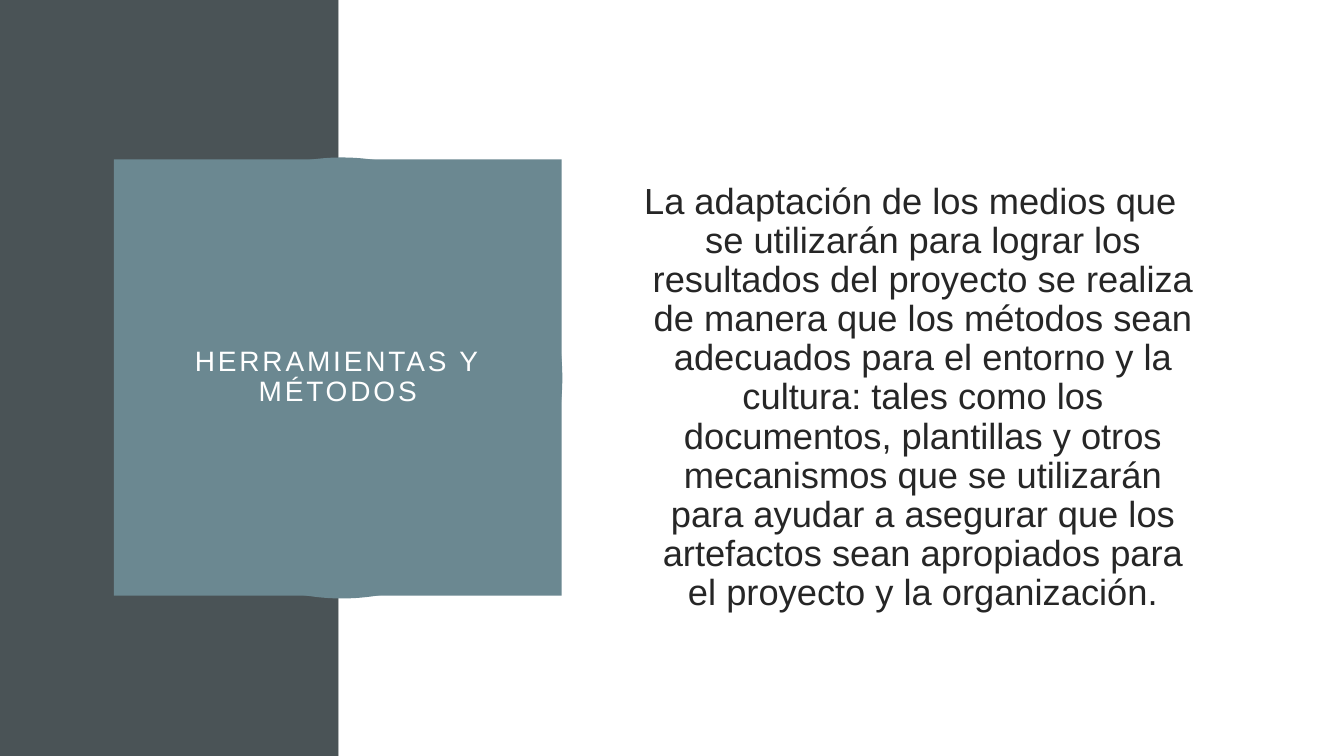
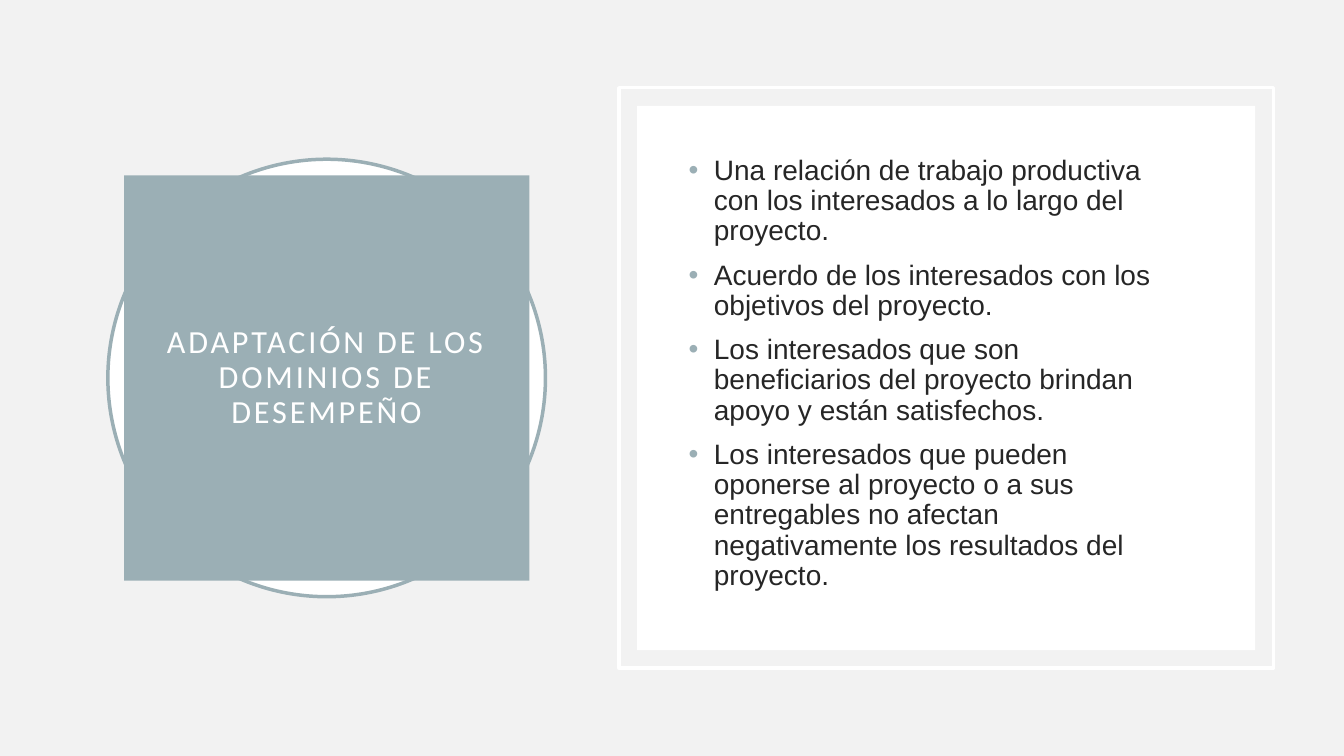
import dataclasses

import pptx
import pptx.dml.color
import pptx.enum.shapes
import pptx.enum.text
import pptx.oxml
import pptx.oxml.ns
import pptx.util

Inches = pptx.util.Inches
SHAPES = pptx.enum.shapes.MSO_SHAPE
ALIGN = pptx.enum.text.PP_ALIGN
ANCHOR = pptx.enum.text.MSO_ANCHOR


@dataclasses.dataclass(frozen=True)
class Theme:
    white: str = "FFFFFF"
    gray: str = "F2F2F2"
    slate: str = "4A5356"
    teal: str = "6B8891"
    mist: str = "9BAFB5"
    ink: str = "262626"
    sans: str = "Arial"
    heading: str = "Calibri"
    small_title: float = 20
    large_title: float = 23
    list_size: float = 20
    statement_size: float = 25.9
    outline: float = 2.5
    line_spacing: float = 0.9
    space_before: float = 10
    hanging: float = 0.25


THEME = Theme()
PAGE_WIDTH, PAGE_HEIGHT = 13.33, 7.5
CIRCLE = 4.34
CIRCLE_TOP = 1.58


def color(value):
    return pptx.dml.color.RGBColor.from_string(value)


def add_figure(page, kind, box, fill=None, line=None):
    """Draw one plain shape in box (left, top, width, height)."""
    figure = page.shapes.add_shape(kind, *map(Inches, box))
    figure.shadow.inherit = False
    if fill:
        figure.fill.solid()
        figure.fill.fore_color.rgb = color(fill)
    else:
        figure.fill.background()
    if line:
        figure.line.color.rgb = color(line)
        figure.line.width = pptx.util.Pt(THEME.outline)
    else:
        figure.line.fill.background()
    return figure


def place_placeholder(holder, box, anchor, margin=None):
    """Move a placeholder to box, in front of what is already drawn."""
    holder.left, holder.top, holder.width, holder.height = map(Inches, box)
    holder.element.getparent().append(holder.element)
    frame = holder.text_frame
    frame.word_wrap = True
    frame.auto_size = pptx.enum.text.MSO_AUTO_SIZE.NONE
    frame.vertical_anchor = anchor
    if margin is not None:
        frame.margin_left = frame.margin_right = Inches(margin)
        frame.margin_top = frame.margin_bottom = Inches(margin)
    return frame


def set_bullet(para, bullet, bullet_color):
    """Give the paragraph a hanging indent and its bullet, if any."""
    properties = para._p.get_or_add_pPr()
    properties.set("marL", str(Inches(THEME.hanging)))
    properties.set("indent", str(-Inches(THEME.hanging)))
    namespace = pptx.oxml.ns.nsdecls("a")
    if bullet:
        parts = [
            f'<a:buClr {namespace}><a:srgbClr val="{bullet_color}"/></a:buClr>',
            f'<a:buFont {namespace} typeface="Arial"/>',
            f'<a:buChar {namespace} char="{bullet}"/>',
        ]
    else:
        parts = [f"<a:buNone {namespace}/>"]
    for part in parts:
        properties.append(pptx.oxml.parse_xml(part))


def write(frame, text, *, size, ink, font=THEME.sans, align=ALIGN.LEFT,
          first=True, hanging=False, bullet=None, bullet_color=None, tracking=0):
    """Write one paragraph with its format."""
    para = frame.paragraphs[0] if first else frame.add_paragraph()
    if hanging:
        set_bullet(para, bullet, bullet_color)
    para.alignment = align
    para.line_spacing = THEME.line_spacing
    para.space_before = pptx.util.Pt(0 if first else THEME.space_before)
    span = para.add_run()
    span.text = text
    span.font.name = font
    span.font.size = pptx.util.Pt(size)
    span.font.color.rgb = color(ink)
    if tracking:
        span.font._element.set("spc", str(tracking * 100))


def add_title(page, text, circle_left, box, fill, **style):
    """Title block over a ringed circle."""
    add_figure(page, SHAPES.OVAL, (circle_left, CIRCLE_TOP, CIRCLE, CIRCLE),
               fill=THEME.white, line=fill)
    title = page.shapes.title
    frame = place_placeholder(title, box, ANCHOR.MIDDLE, margin=0.2)
    title.fill.solid()
    title.fill.fore_color.rgb = color(fill)
    title.line.fill.background()
    write(frame, text, ink=THEME.white, align=ALIGN.CENTER, tracking=2, **style)


def add_page(deck, background):
    page = deck.slides.add_slide(deck.slide_layouts[1])
    page.background.fill.solid()
    page.background.fill.fore_color.rgb = color(background)
    return page


def add_framed_panel(page, box, gap):
    """White panel with a thin frame set outside it."""
    left, top, width, height = box
    add_figure(page, SHAPES.RECTANGLE, box, line=THEME.white)
    add_figure(page, SHAPES.RECTANGLE,
               (left + gap, top + gap, width - 2 * gap, height - 2 * gap),
               fill=THEME.white)


def build_statement_page(deck, title, statement):
    page = add_page(deck, THEME.white)
    # Side band and open area
    band = 3.36
    add_figure(page, SHAPES.RECTANGLE, (0, 0, band, PAGE_HEIGHT), fill=THEME.slate)
    add_figure(page, SHAPES.RECTANGLE,
               (band, 0, PAGE_WIDTH - band, PAGE_HEIGHT), fill=THEME.white)
    # Title block
    add_title(page, title, 1.22, (1.13, CIRCLE_TOP, 4.44, 4.33), THEME.teal,
              size=THEME.small_title)
    # Statement
    frame = place_placeholder(page.placeholders[1], (6.12, 1.58, 5.82, 4.74),
                              ANCHOR.MIDDLE)
    write(frame, statement, size=THEME.statement_size, ink=THEME.ink,
          align=ALIGN.CENTER, hanging=True)


def build_list_page(deck, title, items):
    page = add_page(deck, THEME.gray)
    # Title block
    left, inset = 1.07, 0.16
    side = CIRCLE - 2 * inset
    add_title(page, title, left, (left + inset, CIRCLE_TOP + inset, side, side),
              THEME.mist, size=THEME.large_title, font=THEME.heading)
    # Framed list
    add_framed_panel(page, (6.14, 0.87, 6.49, 5.76), gap=0.18)
    frame = place_placeholder(page.placeholders[1], (6.73, 1.5, 5.1, 4.84),
                              ANCHOR.TOP)
    for index, item in enumerate(items):
        write(frame, item, size=THEME.list_size, ink=THEME.ink,
              first=index == 0, hanging=True, bullet="•",
              bullet_color=THEME.mist)


def main():
    deck = pptx.Presentation()
    deck.slide_width = Inches(PAGE_WIDTH)
    deck.slide_height = Inches(PAGE_HEIGHT)
    build_statement_page(
        deck, "HERRAMIENTAS Y MÉTODOS",
        "La adaptación de los medios que se utilizarán para lograr los "
        "resultados del proyecto se realiza de manera que los métodos sean "
        "adecuados para el entorno y la cultura: tales como los documentos, "
        "plantillas y otros mecanismos que se utilizarán para ayudar a "
        "asegurar que los artefactos sean apropiados para el proyecto y la "
        "organización.")
    build_list_page(deck, "ADAPTACIÓN DE LOS DOMINIOS DE DESEMPEÑO", [
        "Una relación de trabajo productiva con los interesados a lo largo "
        "del proyecto.",
        "Acuerdo de los interesados con los objetivos del proyecto.",
        "Los interesados que son beneficiarios del proyecto brindan apoyo y "
        "están satisfechos.",
        "Los interesados que pueden oponerse al proyecto o a sus entregables "
        "no afectan negativamente los resultados del proyecto.",
    ])
    deck.save("out.pptx")


if __name__ == "__main__":
    main()
